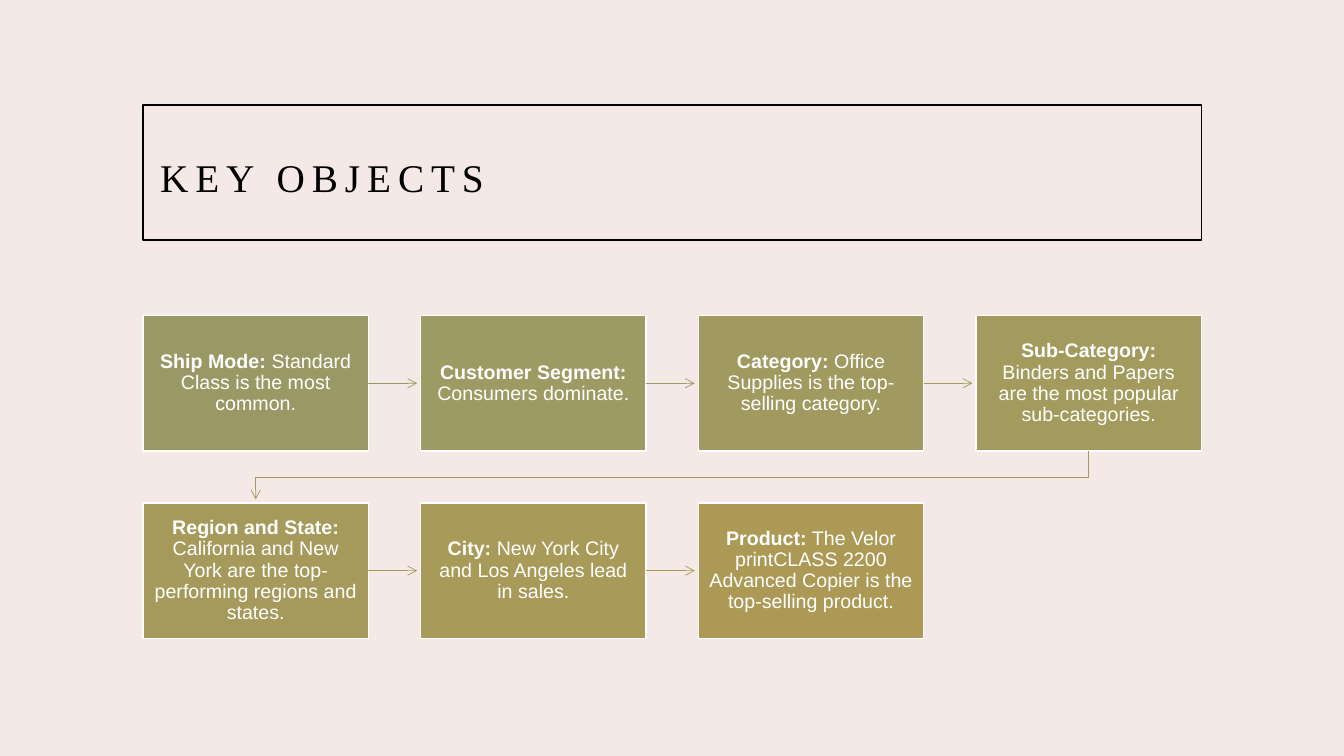
"""Build the Key Objects slide: a framed title and a seven-step flow in two rows."""
from pptx import Presentation
from pptx.dml.color import RGBColor as RGB
from pptx.enum.shapes import MSO_CONNECTOR as Link, MSO_SHAPE as Kind
from pptx.enum.text import MSO_ANCHOR as Anchor, PP_ALIGN as Align
from pptx.oxml.ns import qn
from pptx.util import Pt
from lxml.etree import SubElement

TITLE = "KEY OBJECTS"
STEPS = [
    ("Ship Mode:", " Standard Class is the most common.", RGB(0x9A, 0x99, 0x66)),
    ("Customer Segment:", " Consumers dominate.", RGB(0x9D, 0x9A, 0x63)),
    ("Category:", " Office Supplies is the top-selling category.", RGB(0xA0, 0x9A, 0x60)),
    ("Sub-Category:", " Binders and Papers are the most popular sub-categories.",
     RGB(0xA3, 0x9B, 0x5D)),
    ("Region and State:", " California and New York are the top-performing regions and states.",
     RGB(0xA5, 0x9A, 0x5B)),
    ("City:", " New York City and Los Angeles lead in sales.", RGB(0xA8, 0x9A, 0x58)),
    ("Product:", " The Velor printCLASS 2200 Advanced Copier is the top-selling product.",
     RGB(0xAB, 0x99, 0x55)),
]
ARROWS = [RGB(0x9A, 0x99, 0x66), RGB(0x9D, 0x9A, 0x63), RGB(0xA1, 0x9B, 0x5F),
          RGB(0xA4, 0x9B, 0x5C), RGB(0xA8, 0x9A, 0x58), RGB(0xAB, 0x99, 0x55)]
BLACK, WHITE, ROSE = RGB(0, 0, 0), RGB(255, 255, 255), RGB(0xF4, 0xE9, 0xE6)

LEFT, WIDE, COLS = 102.2, 756, 4
BOX_W, BOX_H = 161, 96.7
TOP, ROW = 225.4, 133.9
COL = (WIDE - BOX_W) / (COLS - 1)
GAP = 2.6

BOX_TEXT = {"word_wrap": True, "vertical_anchor": Anchor.MIDDLE,
            "margin_left": Pt(7.9), "margin_right": Pt(7.9),
            "margin_top": Pt(8.6), "margin_bottom": Pt(8.6)}
BOX_PARA = {"alignment": Align.CENTER, "line_spacing": 0.9}
BOX_FONT = {"name": "Arial", "size": Pt(14)}
HEAD_TEXT = {"word_wrap": True, "vertical_anchor": Anchor.MIDDLE}
HEAD_PARA = {"alignment": Align.LEFT, "line_spacing": 1.2}
HEAD_FONT = {"name": "Times New Roman", "size": Pt(28)}


def put(item, style):
    for key, value in style.items():
        setattr(item, key, value)


def write(shape, runs, color, frame, para, font):
    put(shape.text_frame, frame)
    line = shape.text_frame.paragraphs[0]
    put(line, para)
    for text, bold in runs:
        run = line.add_run()
        run.text = text
        put(run.font, font | {"bold": bold})
        run.font.color.rgb = color
    return run


def box(x, y, w, h, edge, fill=None):
    shape = slide.shapes.add_shape(Kind.RECTANGLE, Pt(x), Pt(y), Pt(w), Pt(h))
    shape.shadow.inherit = False
    if fill is None:
        shape.fill.background()
    else:
        shape.fill.solid()
        shape.fill.fore_color.rgb = fill
    shape.line.color.rgb = edge
    shape.line.width = Pt(1)
    return shape


def point(shape, color):
    shape.line.color.rgb = color
    shape.line.width = Pt(0.5)
    SubElement(shape.line._get_or_add_ln(), qn("a:tailEnd"), type="arrow")


def place(index):
    row, col = divmod(index, COLS)
    return LEFT + col * COL, TOP + row * ROW


def straight(start, x, y, color):
    mid = Pt(y + BOX_H / 2)
    arrow = slide.shapes.add_connector(
        Link.STRAIGHT, Pt(x + BOX_W), mid, Pt(x + COL - GAP), mid)
    arrow.begin_connect(start, 3)
    point(arrow, color)
    SubElement(arrow._element.spPr, qn("a:effectLst"))


def turn(x, y, color):
    base, end = y + BOX_H, y + ROW - GAP
    mid = (y + BOX_H + y + ROW) / 2
    start, stop = x + BOX_W / 2, LEFT + BOX_W / 2
    bend = slide.shapes.build_freeform(Pt(start), Pt(base))
    bend.add_line_segments(
        [(Pt(a), Pt(b)) for a, b in ((start, mid), (stop, mid), (stop, end))], close=False)
    arrow = bend.convert_to_shape()
    arrow.shadow.inherit = False
    arrow.fill.background()
    point(arrow, color)


deck = Presentation()
deck.slide_width, deck.slide_height = Pt(960), Pt(540)
slide = deck.slides.add_slide(deck.slide_layouts[6])
slide.background.fill.solid()
slide.background.fill.fore_color.rgb = ROSE

box(LEFT, 74.9, WIDE, 96.5, BLACK)
head = slide.shapes.add_textbox(Pt(107.3), Pt(96.5), Pt(750.9), Pt(53.3))
run = write(head, [(TITLE, False)], BLACK, HEAD_TEXT, HEAD_PARA, HEAD_FONT)
run.font._element.set("spc", "500")

for index, (name, note, fill) in enumerate(STEPS):
    x, y = place(index)
    step = box(x, y, BOX_W, BOX_H, WHITE, fill)
    write(step, [(name, True), (note, False)], WHITE, BOX_TEXT, BOX_PARA, BOX_FONT)
    if index < len(ARROWS):
        if index % COLS == COLS - 1:
            turn(x, y, ARROWS[index])
        else:
            straight(step, x, y, ARROWS[index])

deck.save("out.pptx")
